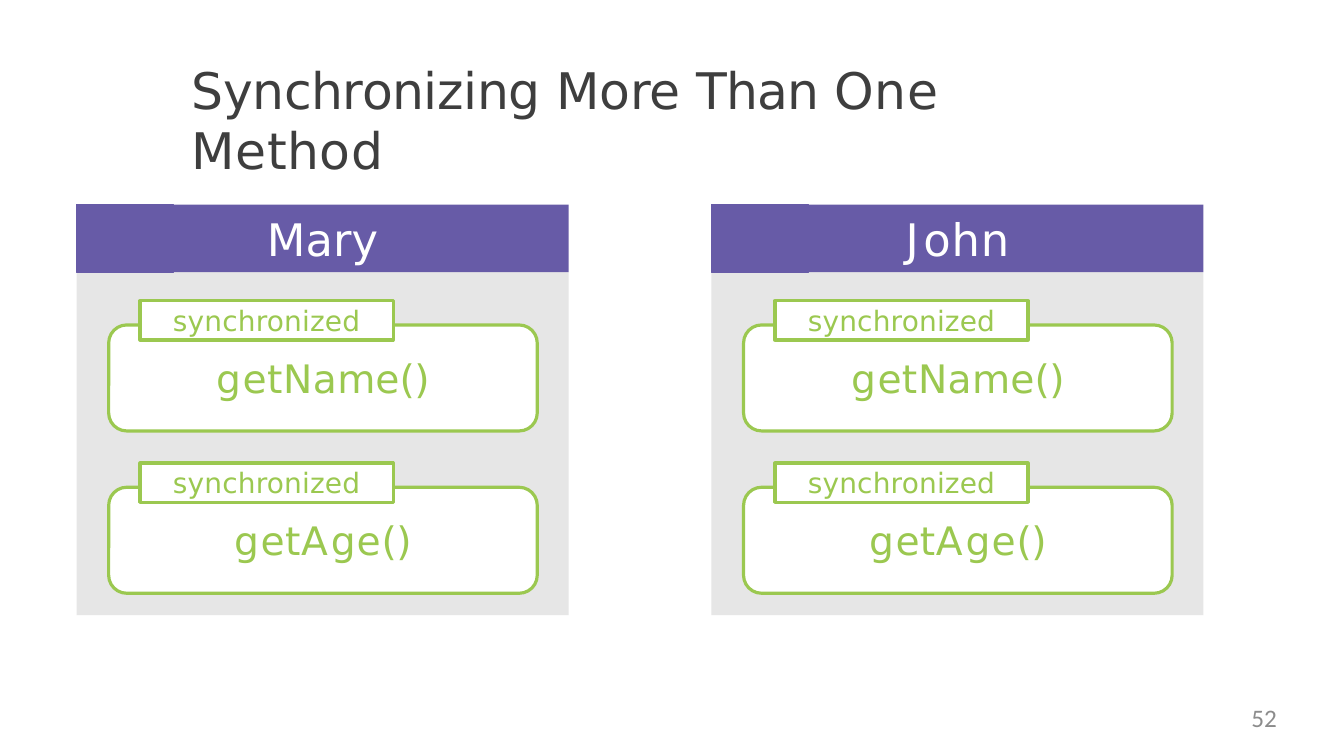
from dataclasses import dataclass
from typing import Optional

from pptx import Presentation
from pptx.dml.color import RGBColor
from pptx.enum.shapes import MSO_SHAPE
from pptx.enum.text import MSO_ANCHOR, PP_ALIGN
from pptx.shapes.autoshape import Shape
from pptx.slide import Slide
from pptx.util import Cm, Pt

COLORS = {
    "title": "3E3E3E",
    "purple": "675BA7",
    "gray": "E6E6E6",
    "green": "9BC850",
    "white": "FFFFFF",
    "number": "8C8C8C",
}
FONT = "DejaVu Sans"

PANEL_LEFT, PANEL_PITCH, PANEL_WIDTH = 1.93, 16.0, 12.4
HEADER_TOP, HEADER_HEIGHT, BODY_HEIGHT = 5.16, 1.7, 8.64
METHOD_TOP, METHOD_PITCH = 8.19, 4.09


@dataclass(frozen=True)
class TextRun:
    """A piece of text with its letter spacing in points."""
    text: str
    spacing: float = 0


@dataclass(frozen=True)
class Box:
    """A rectangle measured in centimetres."""
    left: float
    top: float
    width: float
    height: float


@dataclass(frozen=True)
class Panel:
    name: list[TextRun]
    methods: list[list[TextRun]]


TITLE = [
    TextRun("Synchronizing ", -0.3), TextRun("More ", -0.1), TextRun("Than ", -0.6),
    TextRun("One ", 0.3), TextRun("Method", 0.4),
]
GET = [TextRun("g", 1.2), TextRun("e", 0.2), TextRun("t", 0.5)]
METHODS = [
    GET + [TextRun("Na", 0.3), TextRun("m", -0.8), TextRun("e", 0.2), TextRun("()", -0.4)],
    GET + [TextRun("A", 2.1), TextRun("ge", 0.7), TextRun("()", -0.4)],
]
PANELS = [
    Panel([TextRun("Ma"), TextRun("r", -0.1), TextRun("y", 0.1)], METHODS),
    Panel([TextRun("J", 3.3), TextRun("o", 0.5), TextRun("h", 0.7), TextRun("n", -0.4)], METHODS),
]


def write_text(shape: Shape, runs: list[TextRun], size: float, color: str,
               alignment: PP_ALIGN = PP_ALIGN.CENTER,
               anchor: MSO_ANCHOR = MSO_ANCHOR.MIDDLE, font: str = FONT) -> None:
    frame = shape.text_frame
    frame.word_wrap = True
    frame.margin_left = frame.margin_right = frame.margin_top = frame.margin_bottom = 0
    frame.vertical_anchor = anchor
    paragraph = frame.paragraphs[0]
    paragraph.alignment = alignment
    for item in runs:
        run = paragraph.add_run()
        run.text = item.text
        run.font.name = font
        run.font.size = Pt(size)
        run.font.color.rgb = RGBColor.from_string(COLORS[color])
        if item.spacing:
            run.font._element.set("spc", str(round(item.spacing * 100)))


def add_text_box(slide: Slide, box: Box) -> Shape:
    return slide.shapes.add_textbox(Cm(box.left), Cm(box.top), Cm(box.width), Cm(box.height))


def add_block(slide: Slide, box: Box, fill: Optional[str] = None, line: Optional[str] = None,
              line_width: float = 2.28, kind: MSO_SHAPE = MSO_SHAPE.RECTANGLE) -> Shape:
    shape = slide.shapes.add_shape(kind, Cm(box.left), Cm(box.top), Cm(box.width), Cm(box.height))
    shape.shadow.inherit = False
    if fill:
        shape.fill.solid()
        shape.fill.fore_color.rgb = RGBColor.from_string(COLORS[fill])
    else:
        shape.fill.background()
    if line:
        shape.line.color.rgb = RGBColor.from_string(COLORS[line])
        shape.line.width = Pt(line_width)
    else:
        shape.line.fill.background()
    return shape


def add_method(slide: Slide, left: float, top: float, name: list[TextRun]) -> None:
    """Draw a rounded method box with its keyword tag on the upper edge."""
    method = add_block(slide, Box(left, top, 10.8, 2.67), "white", "green",
                       kind=MSO_SHAPE.ROUNDED_RECTANGLE)
    method.adjustments[0] = 0.17
    write_text(method, name, 28, "green")
    tag = add_block(slide, Box(left + 0.79, top - 0.61, 6.38, 0.99), "white", "green")
    write_text(tag, [TextRun("synchronized", 0.1)], 20, "green")


def add_panel(slide: Slide, left: float, panel: Panel) -> None:
    add_block(slide, Box(left, HEADER_TOP + HEADER_HEIGHT, PANEL_WIDTH, BODY_HEIGHT), "gray")
    header = add_block(slide, Box(left, HEADER_TOP, PANEL_WIDTH, HEADER_HEIGHT), "purple")
    write_text(header, panel.name, 32, "white")
    add_block(slide, Box(left, HEADER_TOP, 2.45, HEADER_HEIGHT), line="purple", line_width=0.72)
    for row, method in enumerate(panel.methods):
        add_method(slide, left + 0.81, METHOD_TOP + row * METHOD_PITCH, method)


def main() -> None:
    presentation = Presentation()
    presentation.slide_width = Cm(33.87)
    presentation.slide_height = Cm(19.05)
    slide = presentation.slides.add_slide(presentation.slide_layouts[6])

    title = add_text_box(slide, Box(4.83, 1.48, 23.8, 1.6))
    write_text(title, TITLE, 36, "title", PP_ALIGN.LEFT, MSO_ANCHOR.TOP)
    for column, panel in enumerate(PANELS):
        add_panel(slide, PANEL_LEFT + column * PANEL_PITCH, panel)
    number = add_text_box(slide, Box(24.38, 17.7, 7.8, 0.97))
    write_text(number, [TextRun("52")], 18, "number", PP_ALIGN.RIGHT, MSO_ANCHOR.TOP, "Calibri")

    presentation.save("out.pptx")


if __name__ == "__main__":
    main()
